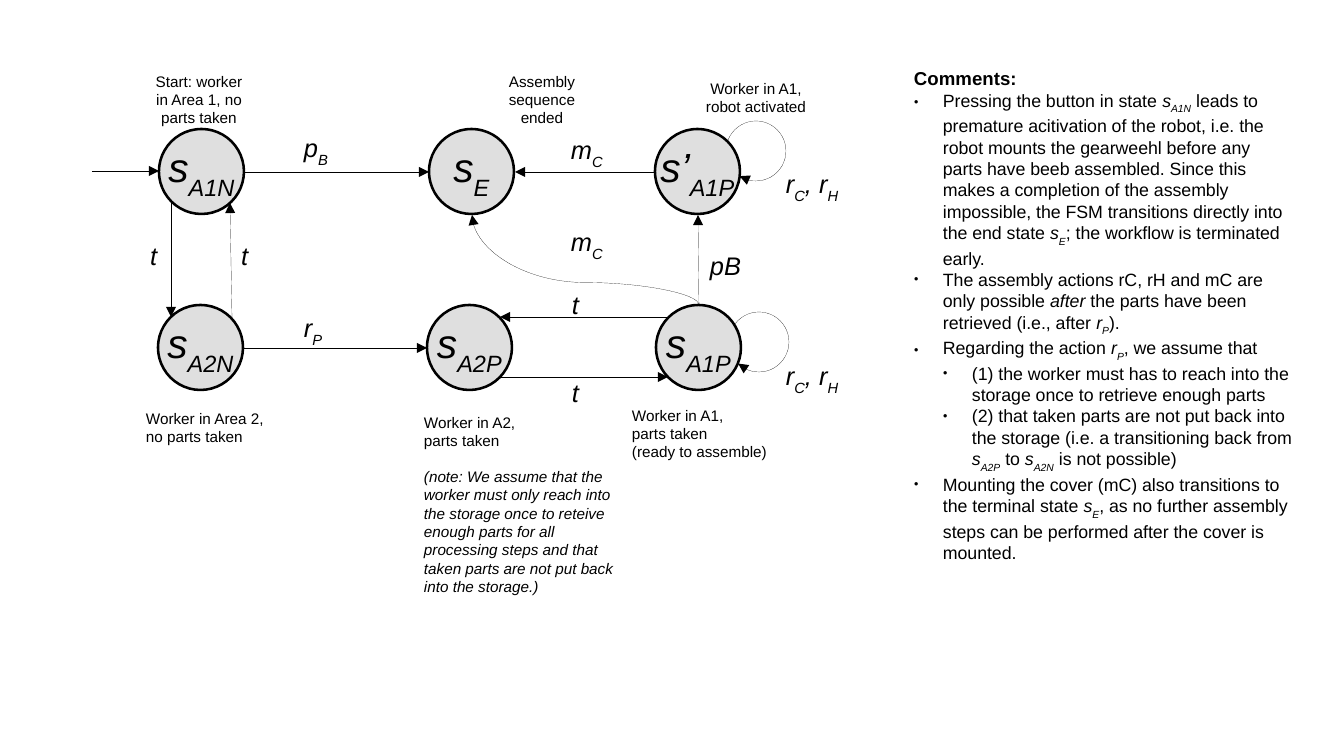
from lxml import etree
from pptx import Presentation
from pptx import util as u
from pptx.dml.color import RGBColor
from pptx.enum import shapes, text
from pptx.oxml.ns import qn

# Content: "~" toggles italic, "_" toggles subscript; lengths in px
DIAMETER = 85
STATES = [  # left, top, name
    (159, 129, "~s_A1N"), (429, 129, "~s_E"), (655, 129, "~s’_A1P"),
    (158, 305, "~s_A2N"), (427, 305, "~s_A2P"), (656, 305, "~s_A1P"),
]
ARROWS = [  # from x, y, to x, y
    (92, 171, 159, 171), (171, 203, 171, 317), (232, 317, 230, 203),
    (244, 172, 429, 172), (655, 172, 515, 172), (244, 348, 427, 348),
    (500, 377, 668, 377), (668, 317, 500, 317), (699, 305, 698, 215),
]
COVER_CURVE = (699, 305, 472, 215)
LOOP_RADIUS = 30
LOOPS = [(756, 151, 198, 123), (759, 342, 212, 134)]  # centre x, y, start, end angle
ACTIONS = [  # left, top, width, label
    (138, 234, 33, "~t"), (229, 234, 33, "~t"),
    (560, 283, 33, "~t"), (560, 371, 33, "~t"),
    (292, 126, 55, "~p_B"), (292, 306, 55, "~r_P"), (698, 244, 62, "~pB"),
    (559, 128, 56, "~m_C"), (559, 220, 56, "~m_C"),
    (774, 162, 77, "~r_C_, r_H"), (774, 354, 77, "~r_C_, r_H"),
]
CAPTIONS = [  # left, top, width, height, centred, wrapped, lines
    (138, 66, 122, 63, True, False, ["Start: worker", "in Area 1, no", "parts taken"]),
    (426, 66, 232, 63, True, False, ["Assembly", "sequence", "ended"]),
    (634, 73, 244, 171, True, False, ["Worker in A1,", "robot activated"]),
    (134, 403, 146, 46, False, False, ["Worker in Area 2,", "no parts taken"]),
    (620, 400, 160, 63, False, False,
     ["Worker in A1,", "parts taken", "(ready to assemble)"]),
    (412, 407, 222, 183, False, True, [
        "Worker in A2,", "parts taken",
        "~(note: We assume that the worker must only reach into the storage once "
        "to reteive enough parts for all processing steps and that taken parts "
        "are not put back into the storage.)"]),
]
COMMENTS_BOX = (902, 61, 403, 473)
COMMENTS = [  # bullet level, text
    (0, "Pressing the button in state ~s_A1N_~ leads to premature acitivation of the "
        "robot, i.e. the robot mounts the gearweehl before any parts have beeb "
        "assembled. Since this makes a completion of the assembly impossible, the FSM "
        "transitions directly into the end state ~s_E_~; the workflow is terminated early."),
    (0, "The assembly actions rC, rH and mC are only possible ~after~ the parts have "
        "been retrieved (i.e., after ~r_P_~)."),
    (0, "Regarding the action ~r_P_~, we assume that"),
    (1, "(1) the worker must has to reach into the storage once to retrieve enough parts"),
    (1, "(2) that taken parts are not put back into the storage (i.e. a transitioning "
        "back from ~s_A2P_~ to ~s_A2N_~ is not possible)"),
    (0, "Mounting the cover (mC) also transitions to the terminal state ~s_E_~, as no "
        "further assembly steps can be performed after the cover is mounted."),
]
BLACK, GREY, FONT = "000000", "DFDFDF", "Arial"
INDENT = 29

prs = Presentation()


def px(n):
    return u.Emu(round(n * 914400 / 122))


def rgb(value):
    return RGBColor.from_string(value)


prs.slide_width, prs.slide_height = px(1344), px(756)
sl = prs.slides.add_slide(prs.slide_layouts[6])


def sub(parent, tag, **attrs):
    return etree.SubElement(parent, qn(tag), attrs)


def write(p, marked, size, bold=False):
    """Add one run for each stretch of text between marks."""
    for i, stretch in enumerate(marked.split("~")):
        for j, part in enumerate(stretch.split("_")):
            if not part:
                continue
            r = p.add_run()
            r.text = part
            fmt = {"name": FONT, "size": u.Pt(size), "bold": bold, "italic": i % 2 == 1}
            for key, value in fmt.items():
                setattr(r.font, key, value)
            r.font.color.rgb = rgb(BLACK)
            if j % 2:
                r.font._element.set("baseline", "-33000")


def frame(tf, dx=12, dy=6, **fmt):
    fmt.update(margin_left=px(dx), margin_right=px(dx), margin_top=px(dy), margin_bottom=px(dy))
    for key, value in fmt.items():
        setattr(tf, key, value)
    return tf


def text_box(x, y, w, h, wrap=False):
    tf = sl.shapes.add_textbox(px(x), px(y), px(w), px(h)).text_frame
    return frame(tf, word_wrap=wrap, auto_size=text.MSO_AUTO_SIZE.SHAPE_TO_FIT_TEXT)


def next_paragraph(tf):
    return tf.paragraphs[0] if not tf.paragraphs[0].runs else tf.add_paragraph()


def hairline(sp):
    """Give a line the thinnest width and an arrowhead at its end."""
    sp.line.color.rgb = rgb(BLACK)
    ln = sp._element.spPr.find(qn("a:ln"))
    ln.set("w", "0")
    sub(ln, "a:tailEnd", type="triangle")


def arrow(kind, *ends):
    cn = sl.shapes.add_connector(kind, *map(px, ends))
    hairline(cn)
    sub(cn._element.spPr, "a:effectLst")
    return cn._element.spPr


# Arrows between states
for ends in ARROWS:
    arrow(shapes.MSO_CONNECTOR.STRAIGHT, *ends)

# Curve to the end state: a box turned by 270 degrees about its centre
x1, y1, x2, y2 = COVER_CURVE
cx, cy, half_w, half_h = (x1 + x2) / 2, (y1 + y2) / 2, (y1 - y2) / 2, (x1 - x2) / 2
spPr = arrow(shapes.MSO_CONNECTOR.CURVE, cx - half_w, cy - half_h, cx + half_w, cy + half_h)
spPr.find(qn("a:xfrm")).set("rot", "16200000")
spPr.find(qn("a:xfrm")).set("flipV", "1")
geom = spPr.find(qn("a:prstGeom"))
guides = geom.find(qn("a:avLst"))
if guides is None:
    guides = sub(geom, "a:avLst")
sub(guides, "a:gd", name="adj1", fmla="val 24900")

# States
for x, y, name in STATES:
    sp = sl.shapes.add_shape(shapes.MSO_SHAPE.OVAL, px(x), px(y), px(DIAMETER), px(DIAMETER))
    sp.shadow.inherit = False
    sp.fill.solid()
    sp.fill.fore_color.rgb = rgb(GREY)
    sp.line.color.rgb = rgb(BLACK)
    sp.line.width = u.Pt(1.5)
    tf = frame(sp.text_frame, 13, 7, word_wrap=False, vertical_anchor=text.MSO_ANCHOR.MIDDLE)
    tf.paragraphs[0].alignment = text.PP_ALIGN.CENTER
    write(tf.paragraphs[0], name, 24)

# Self loops
for cx, cy, start, end in LOOPS:
    sp = sl.shapes.add_shape(shapes.MSO_SHAPE.ARC, px(cx - LOOP_RADIUS), px(cy - LOOP_RADIUS),
                             px(2 * LOOP_RADIUS), px(2 * LOOP_RADIUS))
    sp.shadow.inherit = False
    sp.fill.background()
    for i, angle in enumerate((start, end)):
        sp.adjustments[i] = angle * 0.6
    hairline(sp)

# Action labels
for x, y, w, label in ACTIONS:
    write(text_box(x, y, w, 46).paragraphs[0], label, 15)

# State captions
for x, y, w, h, centred, wrap, lines in CAPTIONS:
    tf = text_box(x, y, w, h, wrap)
    for line in lines:
        p = next_paragraph(tf)
        p.alignment = text.PP_ALIGN.CENTER if centred else text.PP_ALIGN.LEFT
        if line.startswith("~"):
            p.space_before = u.Pt(10.3)
        write(p, line, 9)

# Comments
tf = text_box(*COMMENTS_BOX, wrap=True)
write(tf.paragraphs[0], "Comments:", 11, bold=True)
for level, comment in COMMENTS:
    p = next_paragraph(tf)
    p.level = level
    pPr = p._p.get_or_add_pPr()
    pPr.set("marL", str(px(INDENT * (level + 1))))
    pPr.set("indent", str(-px(INDENT)))
    sub(sub(pPr, "a:buClr"), "a:srgbClr", val=BLACK)
    sub(pPr, "a:buSzPct", val="45000")
    sub(pPr, "a:buFont", typeface=FONT)
    sub(pPr, "a:buChar", char="●")
    write(p, comment, 10.5)

prs.save("out.pptx")
